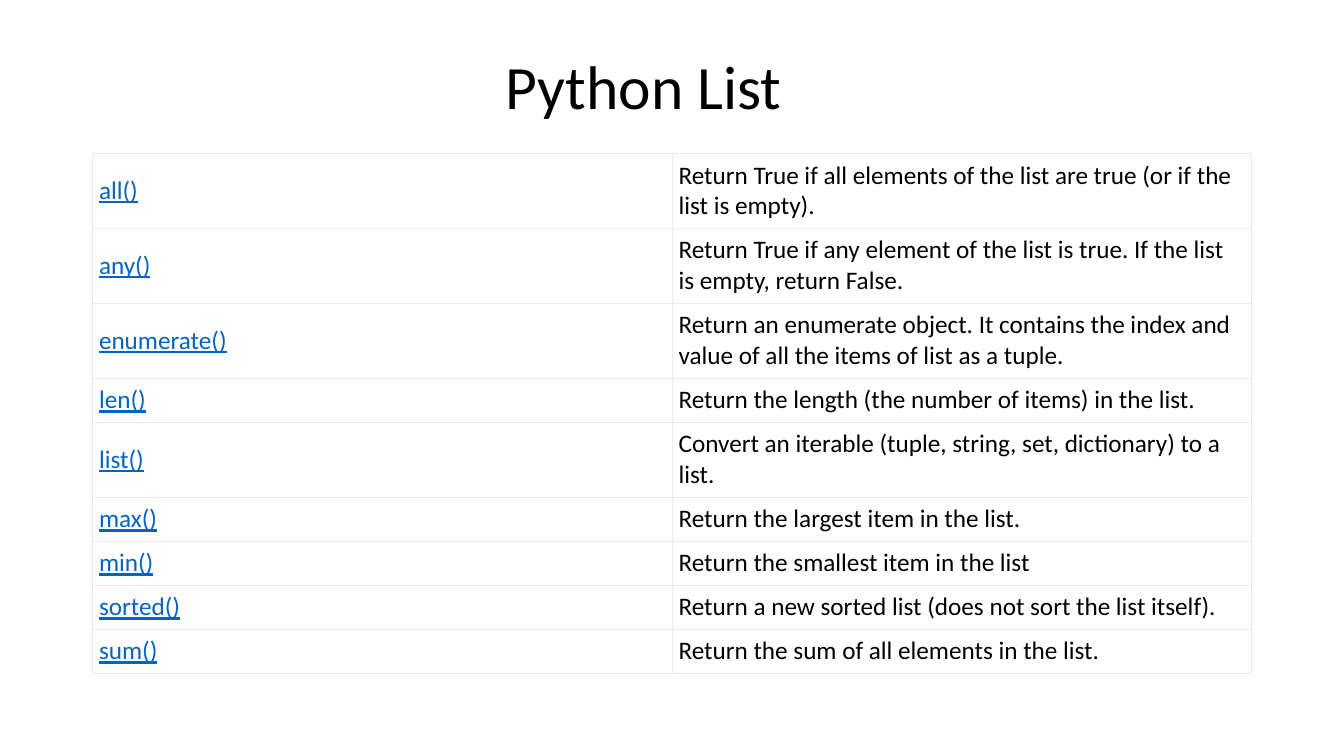
import pptx
import pptx.util
import pptx.dml.color
import pptx.enum.text
import pptx.oxml
import pptx.oxml.ns

Pt = pptx.util.Pt
RGBColor = pptx.dml.color.RGBColor
MIDDLE = pptx.enum.text.MSO_ANCHOR.MIDDLE

TITLE = "Python List"
# function, description, lines the description takes
FUNCTIONS = [
    ("all()", "Return True if all elements of the list are true (or if the list is empty).", 2),
    ("any()", "Return True if any element of the list is true. If the list is empty, return False.", 2),
    ("enumerate()", "Return an enumerate object. It contains the index and value of all the items of list as a tuple.", 2),
    ("len()", "Return the length (the number of items) in the list.", 1),
    ("list()", "Convert an iterable (tuple, string, set, dictionary) to a list.", 2),
    ("max()", "Return the largest item in the list.", 1),
    ("min()", "Return the smallest item in the list", 1),
    ("sorted()", "Return a new sorted list (does not sort the list itself).", 1),
    ("sum()", "Return the sum of all elements in the list.", 1),
]

BLACK = RGBColor(0x00, 0x00, 0x00)
WHITE = RGBColor(0xFF, 0xFF, 0xFF)
LINK_BLUE = RGBColor(0x05, 0x63, 0xC1)
BORDER_GREY = RGBColor(0xEA, 0xEA, 0xEC)

LEFT, WIDTH = 66, 828
TITLE_TOP, TITLE_HEIGHT, TITLE_INDENT = 28.8, 70.5, 295.2
TABLE_TOP = 109.5
LINE_HEIGHT, ROW_PADDING = 22, 9.5
BORDER_WIDTH = 0.5

TITLE_FONT = {"name": "Calibri", "size": Pt(44)}
NAME_FONT = {"name": "Calibri", "size": Pt(18), "underline": True}
TEXT_FONT = {"name": "Calibri", "size": Pt(18)}
CELL_FORMAT = {
    "vertical_anchor": MIDDLE,
    "margin_left": Pt(4.76), "margin_right": Pt(4.76),
    "margin_top": Pt(4.5), "margin_bottom": Pt(4.5),
}
TITLE_FORMAT = {
    "vertical_anchor": MIDDLE, "word_wrap": True,
    "margin_left": Pt(TITLE_INDENT),
}


def set_values(target, values):
    """Set each named attribute of the target."""
    for name, value in values.items():
        setattr(target, name, value)


def write(frame, text, font, color):
    """Put one formatted run in the first paragraph of a text frame."""
    para = frame.paragraphs[0]
    span = para.add_run()
    span.text = text
    set_values(span.font, font)
    span.font.color.rgb = color
    return para


def add_borders(cell):
    """Draw a thin line on all four sides of a cell."""
    properties = cell._tc.get_or_add_tcPr()
    for position, side in enumerate(("lnL", "lnR", "lnT", "lnB")):
        line = pptx.oxml.parse_xml(
            f'<a:{side} {pptx.oxml.ns.nsdecls("a")} w="{Pt(BORDER_WIDTH)}">'
            f'<a:solidFill><a:srgbClr val="{BORDER_GREY}"/></a:solidFill></a:{side}>')
        properties.insert(position, line)


def add_title(page):
    """Add the slide heading."""
    box = page.shapes.add_textbox(Pt(LEFT), Pt(TITLE_TOP), Pt(WIDTH), Pt(TITLE_HEIGHT))
    set_values(box.text_frame, TITLE_FORMAT)
    write(box.text_frame, TITLE, TITLE_FONT, BLACK).line_spacing = 0.9


def add_function_table(page):
    """Add the table of list functions and what they return."""
    heights = [lines * LINE_HEIGHT + ROW_PADDING for _, _, lines in FUNCTIONS]
    table = page.shapes.add_table(
        len(FUNCTIONS), 2, Pt(LEFT), Pt(TABLE_TOP), Pt(WIDTH), Pt(sum(heights))).table
    table.first_row = table.horz_banding = False
    for row, height, (name, description, _) in zip(table.rows, heights, FUNCTIONS):
        row.height = Pt(height)
        contents = ((name, NAME_FONT, LINK_BLUE), (description, TEXT_FONT, BLACK))
        for cell, content in zip(row.cells, contents):
            set_values(cell, CELL_FORMAT)
            cell.fill.solid()
            cell.fill.fore_color.rgb = WHITE
            add_borders(cell)
            write(cell.text_frame, *content)


deck = pptx.Presentation()
deck.slide_width, deck.slide_height = Pt(960), Pt(540)
page = deck.slides.add_slide(deck.slide_layouts[6])
add_title(page)
add_function_table(page)
deck.save("out.pptx")
